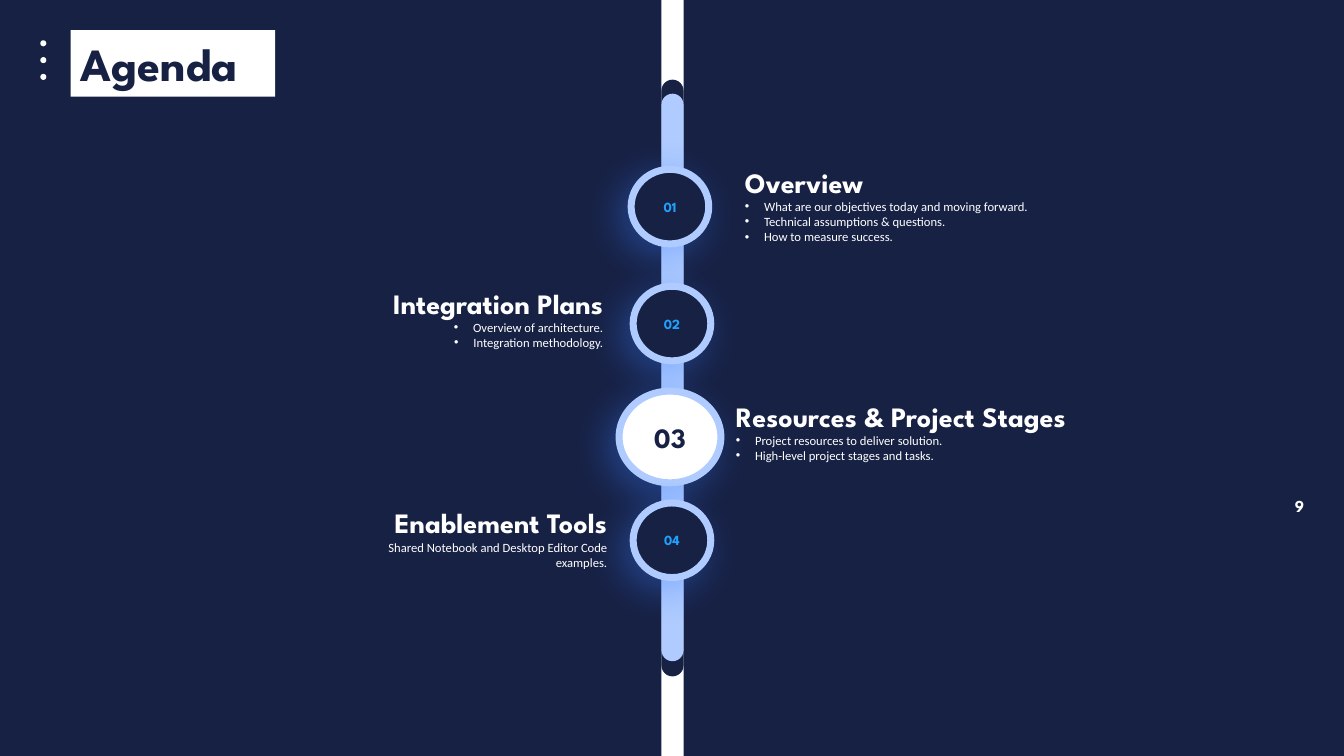
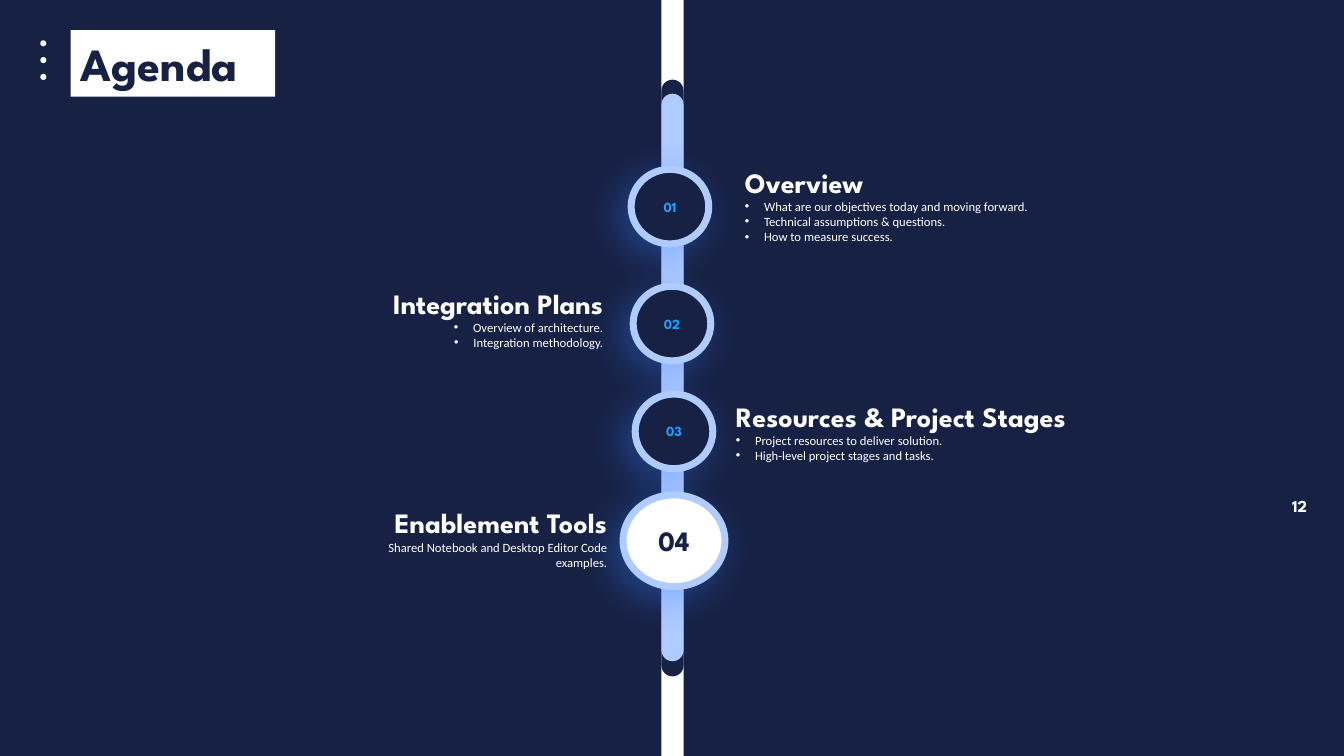
from lxml.etree import SubElement
from pptx import Presentation
from pptx.dml.color import RGBColor
from pptx.enum.shapes import MSO_SHAPE
from pptx.enum.text import MSO_ANCHOR, MSO_AUTO_SIZE, PP_ALIGN
from pptx.oxml.ns import qn
from pptx.util import Inches, Pt

NAVY, WHITE, SKY, BLUE, GLOW = "172144", "FFFFFF", "AFCBFF", "1FA2FF", "377DFF"
HEAD, BODY = "League Spartan", "Calibri"

# left, top, width, height, alignment, bulleted, heading, lines
TOPICS = [
    (7.29, 1.59, 3.63, 0.89, PP_ALIGN.LEFT, True, "Overview",
     ["What are our objectives today and moving forward.",
      "Technical assumptions & questions.",
      "How to measure success."]),
    (3.54, 2.79, 2.54, 0.74, PP_ALIGN.RIGHT, True, "Integration Plans",
     ["Overview of architecture.", "Integration methodology."]),
    (7.2, 3.91, 4.08, 0.74, PP_ALIGN.LEFT, True, "Resources & Project Stages",
     ["Project resources to deliver solution.",
      "High-level project stages and tasks."]),
    (3.35, 4.97, 2.77, 0.74, PP_ALIGN.RIGHT, False, "Enablement Tools",
     ["Shared Notebook and Desktop Editor Code examples."]),
]
RINGS = [(6.26, 1.68), (6.28, 2.84), (6.3, 3.91), (6.28, 4.99)]
ACTIVE = {3: (6.14, 3.88), 4: (6.18, 4.91)}
BARS = [(-0.37, 8.25, WHITE), (0.79, 5.92, NAVY), (0.93, 5.63, SKY)]


def color(code):
    return RGBColor.from_string(code)


class Deck:
    """Holds the presentation, its style and the current slide."""

    def __init__(self):
        self.prs = Presentation()
        self.prs.slide_width, self.prs.slide_height = Inches(13.33), Inches(7.5)
        self.paint(self.prs.slide_master.background, NAVY)
        self.slide = None

    def paint(self, item, code):
        item.fill.solid()
        item.fill.fore_color.rgb = color(code)

    def style(self, para, size, code, font=HEAD, bold=True, align=PP_ALIGN.CENTER):
        para.alignment = align
        for run in para.runs:
            run.font.name, run.font.size, run.font.bold = font, Pt(size), bold
            run.font.color.rgb = color(code)

    def shape(self, kind, left, top, width, height, code):
        shape = self.slide.shapes.add_shape(
            kind, Inches(left), Inches(top), Inches(width), Inches(height))
        shape.shadow.inherit = False
        self.paint(shape, code)
        shape.line.fill.background()
        return shape

    def box(self, left, top, width, height):
        frame = self.slide.shapes.add_textbox(
            Inches(left), Inches(top), Inches(width), Inches(height)).text_frame
        frame.word_wrap = True
        return frame

    def start(self, title, number):
        """Add a slide with its title, corner dots and slide number."""
        self.slide = self.prs.slides.add_slide(self.prs.slide_layouts[5])
        for i in range(3):
            self.shape(MSO_SHAPE.OVAL, 0.4, 0.4 + i / 6, 0.06, 0.06, WHITE)
        head = self.slide.shapes.title
        head.left, head.top = Inches(0.7), Inches(0.3)
        head.width, head.height = Inches(2.03), Inches(0.66)
        self.paint(head, WHITE)
        frame = head.text_frame
        frame.text = title
        frame.vertical_anchor = MSO_ANCHOR.TOP
        frame.auto_size = MSO_AUTO_SIZE.NONE
        self.style(frame.paragraphs[0], 33, NAVY, align=PP_ALIGN.LEFT)
        page = self.box(12.59, 4.86, 0.6, 0.32)
        page.text = str(number)
        page.vertical_anchor = MSO_ANCHOR.MIDDLE
        page.margin_left = page.margin_right = Inches(0.07)
        page.margin_top = page.margin_bottom = Inches(0.03)
        self.style(page.paragraphs[0], 12, WHITE)

    def bar(self, top, height, code):
        bar = self.shape(MSO_SHAPE.ROUNDED_RECTANGLE, 6.56, top, 0.22, height, code)
        bar.adjustments[0] = 0.5

    def glow(self, shape):
        effects = shape.element.spPr.find(qn("a:effectLst"))
        shadow = SubElement(effects, qn("a:outerShdw"), blurRad=str(Pt(28)),
                            dist=str(Pt(9)), dir=str(135 * 60000),
                            algn="ctr", rotWithShape="0")
        tint = SubElement(shadow, qn("a:srgbClr"), val=GLOW)
        SubElement(tint, qn("a:alpha"), val="39000")

    def ring(self, number, active):
        if active:
            place, size, fill, ink, points = ACTIVE[number], (1.01, 0.91), WHITE, NAVY, 20
        else:
            place, size, fill, ink, points = RINGS[number - 1], (0.77, 0.74), NAVY, BLUE, 10
        ring = self.shape(MSO_SHAPE.OVAL, *place, *size, fill)
        ring.line.color.rgb = color(SKY)
        ring.line.width = Pt(5)
        self.glow(ring)
        frame = ring.text_frame
        frame.text = f"{number:02}"
        frame.vertical_anchor = MSO_ANCHOR.MIDDLE
        self.style(frame.paragraphs[0], points, ink)

    def bullet(self, para):
        props = para._p.get_or_add_pPr()
        props.set("marL", str(Inches(0.19)))
        props.set("indent", str(-Inches(0.19)))
        SubElement(props, qn("a:buFont"), typeface="Arial")
        SubElement(props, qn("a:buChar"), char="•")

    def topic(self, left, top, width, height, align, dots, head, lines):
        frame = self.box(left, top, width, height)
        frame.text = "\n".join([head, *lines])
        first, *rest = frame.paragraphs
        self.style(first, 20, WHITE, align=align)
        for para in rest:
            self.style(para, 9, WHITE, BODY, False, align)
            if dots:
                self.bullet(para)

    def agenda(self, page, current):
        """Draw the timeline with the current step enlarged."""
        self.start("Agenda", page)
        for bar in BARS:
            self.bar(*bar)
        for number, topic in enumerate(TOPICS, 1):
            self.ring(number, number == current)
            self.topic(*topic)


def main():
    deck = Deck()
    for page, current in [(9, 3), (12, 4)]:
        deck.agenda(page, current)
    deck.prs.save("out.pptx")


if __name__ == "__main__":
    main()
